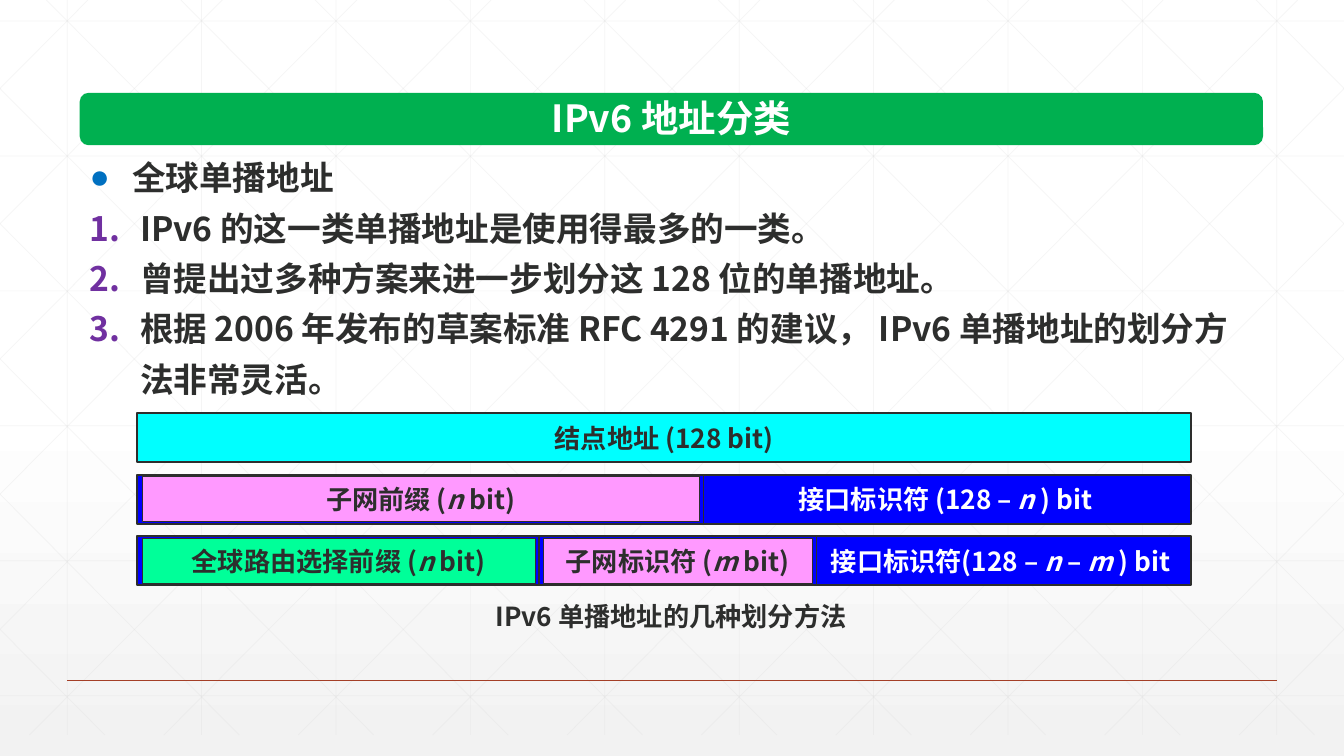
"""Build the slide on IPv6 address classes with its three address layouts."""
import dataclasses

import pptx
import pptx.dml.color
import pptx.enum.shapes
import pptx.enum.text
import pptx.oxml
import pptx.oxml.ns
import pptx.util

Cm, Pt = pptx.util.Cm, pptx.util.Pt
RGB = pptx.dml.color.RGBColor.from_string
qn = pptx.oxml.ns.qn
KIND = pptx.enum.shapes.MSO_SHAPE
ALIGN = pptx.enum.text.PP_ALIGN
ANCHOR = pptx.enum.text.MSO_ANCHOR


@dataclasses.dataclass(frozen=True)
class Theme:
    font: str = "Noto Sans CJK SC"
    ink: str = "2D2E2D"
    white: str = "FFFFFF"
    shade: str = "F2F2F2"
    grid: str = "D9D9D9"
    rule: str = "A43F27"
    green: str = "00B050"
    blue: str = "0000FF"
    cyan: str = "00FFFF"
    pink: str = "FF99FF"
    mint: str = "00FF99"
    dot: str = "0070C0"
    number: str = "7030A0"
    title: float = 26.7
    body: float = 24
    label: float = 18.7


theme = Theme()
deck = pptx.Presentation()
WIDE, HIGH = 33.87, 19.05
deck.slide_width, deck.slide_height = Cm(WIDE), Cm(HIGH)
slide = deck.slides.add_slide(deck.slide_layouts[6])
shapes = slide.shapes


def draw(x1, y1, x2, y2, color, width, alpha=None):
    line = shapes.add_connector(
        pptx.enum.shapes.MSO_CONNECTOR.STRAIGHT, Cm(x1), Cm(y1), Cm(x2), Cm(y2))
    line.line.color.rgb, line.line.width = RGB(color), Pt(width)
    props = line._element.spPr
    props.append(props.makeelement(qn("a:effectLst"), {}))
    if alpha:
        tint = props.find(".//" + qn("a:srgbClr"))
        tint.append(tint.makeelement(qn("a:alpha"), {"val": str(alpha * 1000)}))


def write(para, text, size, color):
    for index, part in enumerate(text.split("*")):
        run = para.add_run()
        run.text = part
        look = {"name": theme.font, "size": Pt(size), "bold": True, "italic": index % 2 == 1}
        for key, value in look.items():
            setattr(run.font, key, value)
        run.font.color.rgb = RGB(color)
        props = run._r.get_or_add_rPr()
        props.append(props.makeelement(qn("a:ea"), {"typeface": theme.font}))


back = slide.background.fill
back.gradient()
back.gradient_angle = 270
for stop, place, color in zip(back.gradient_stops, (0.53, 1), (theme.white, theme.shade)):
    stop.position, stop.color.rgb = place, RGB(color)

FOOT, STEP, SLOPE = 18.52, WIDE / 10, 0.994
mesh = [(STEP * (i + 0.5), 0, STEP * (i + 0.5), FOOT) for i in range(10)]
mesh += [(0, 0.53 + 3.4 * i, WIDE, 0.53 + 3.4 * i) for i in range(6)]
for i in range(-5, 10):
    start = 1.17 + STEP * i
    left = max(0, start)
    top = (left - start) / SLOPE
    low = min(FOOT, (WIDE - start) / SLOPE)
    right = start + SLOPE * low
    mesh += [(left, top, right, low), (WIDE - left, top, WIDE - right, low)]
for ends in mesh:
    draw(*ends, theme.grid, 0.5, 25)
draw(1.69, 17.15, 32.18, 17.15, theme.rule, 1)

points = [
    "全球单播地址",
    "IPv6 的这一类单播地址是使用得最多的一类。",
    "曾提出过多种方案来进一步划分这 128 位的单播地址。",
    "根据 2006 年发布的草案标准 RFC 4291 的建议， IPv6 单播地址的划分方法非常灵活。",
]
frame = shapes.add_textbox(Cm(2.01), Cm(3.58), Cm(29.82), Cm(6.55)).text_frame
frame.word_wrap = True
for index, text in enumerate(points):
    para = frame.add_paragraph() if index else frame.paragraphs[0]
    para.line_spacing = Pt(36)
    props = para._p.get_or_add_pPr()
    indent = Cm(1.27 if index else 1.07)
    props.set("marL", str(indent))
    props.set("indent", str(-indent))
    color = props.makeelement(qn("a:buClr"), {})
    hue = theme.number if index else theme.dot
    color.append(color.makeelement(qn("a:srgbClr"), {"val": hue}))
    props.append(color)
    if index:
        props.append(props.makeelement(qn("a:buAutoNum"), {"type": "arabicPeriod"}))
    else:
        props.append(props.makeelement(qn("a:buFont"), {"typeface": "Arial"}))
        props.append(props.makeelement(qn("a:buChar"), {"char": "●"}))
    write(para, text, theme.body, theme.ink)

LEFT, SPAN, TALL, GAP = 3.45, 26.57, 1.24, 0.05
ROWS = [10.41 + 1.55 * i for i in range(3)]
INNER = TALL - 2 * GAP
boxes = [
    (2.01, 2.34, 29.82, 1.32, theme.green, 0, theme.white, theme.title, "IPv6 地址分类"),
    (LEFT, ROWS[0], SPAN, TALL, theme.cyan, 1.5, theme.ink, theme.label, "结点地址 (128 bit)"),
    (LEFT, ROWS[1], SPAN, TALL, theme.blue, 1.5, theme.white, theme.label, ""),
    (LEFT, ROWS[2], SPAN, TALL, theme.blue, 1.5, theme.white, theme.label, ""),
    (3.58, ROWS[1] + GAP, 14.05, INNER, theme.pink, 0.75, theme.ink, theme.label,
     "子网前缀 (*n* bit)"),
    (3.58, ROWS[2] + GAP, 9.91, INNER, theme.mint, 0.75, theme.ink, theme.label,
     "全球路由选择前缀 (*n* bit)"),
    (13.69, ROWS[2] + GAP, 6.78, INNER, theme.pink, 0.75, theme.ink, theme.label,
     "子网标识符 (*m* bit)"),
    (19.61, ROWS[1] + GAP, 8.43, INNER, None, 0, theme.white, theme.label,
     "接口标识符 (128 – *n* ) bit"),
    (20.4, ROWS[2] + GAP, 9.63, INNER, None, 0, theme.white, theme.label,
     "接口标识符(128 – *n* – *m* ) bit"),
    (12.19, 14.99, 9.45, 1.07, None, 0, theme.ink, theme.label, "IPv6 单播地址的几种划分方法"),
]
for left, top, width, height, fill, edge, ink, size, text in boxes:
    area = Cm(left), Cm(top), Cm(width), Cm(height)
    if fill:
        box = shapes.add_shape(KIND.RECTANGLE if edge else KIND.ROUNDED_RECTANGLE, *area)
        box.shadow.inherit = False
        box.fill.solid()
        box.fill.fore_color.rgb = RGB(fill)
        if edge:
            box.line.color.rgb, box.line.width = RGB(theme.ink), Pt(edge)
        else:
            box.line.fill.background()
    else:
        box = shapes.add_textbox(*area)
    if text:
        anchor = ANCHOR.TOP if size == theme.title else ANCHOR.MIDDLE
        look = {"word_wrap": False, "vertical_anchor": anchor, "margin_top": 0, "margin_bottom": 0}
        for key, value in look.items():
            setattr(box.text_frame, key, value)
        para = box.text_frame.paragraphs[0]
        para.alignment = ALIGN.CENTER
        write(para, text, size, ink)

for x, row in ((17.73, 1), (13.58, 2), (20.57, 2)):
    draw(x, ROWS[row], x, ROWS[row] + TALL, theme.ink, 1)

deck.save("out.pptx")
